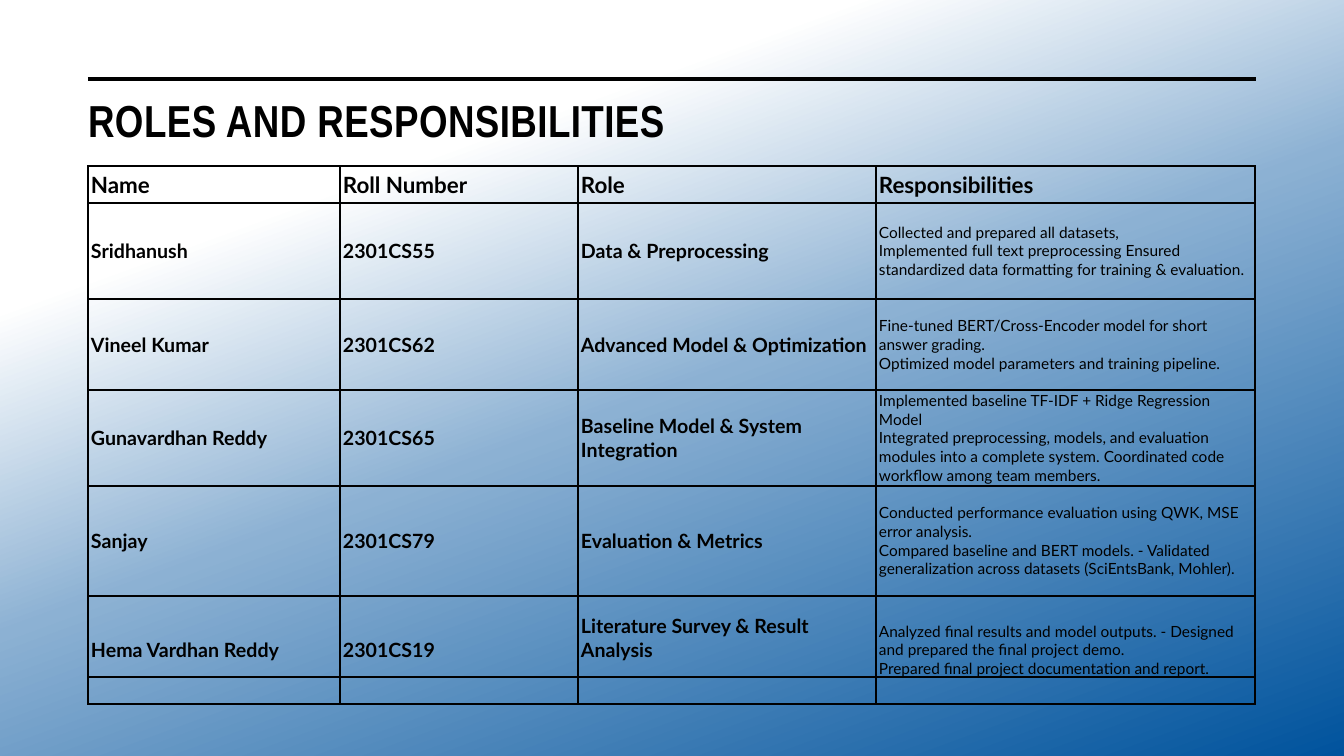
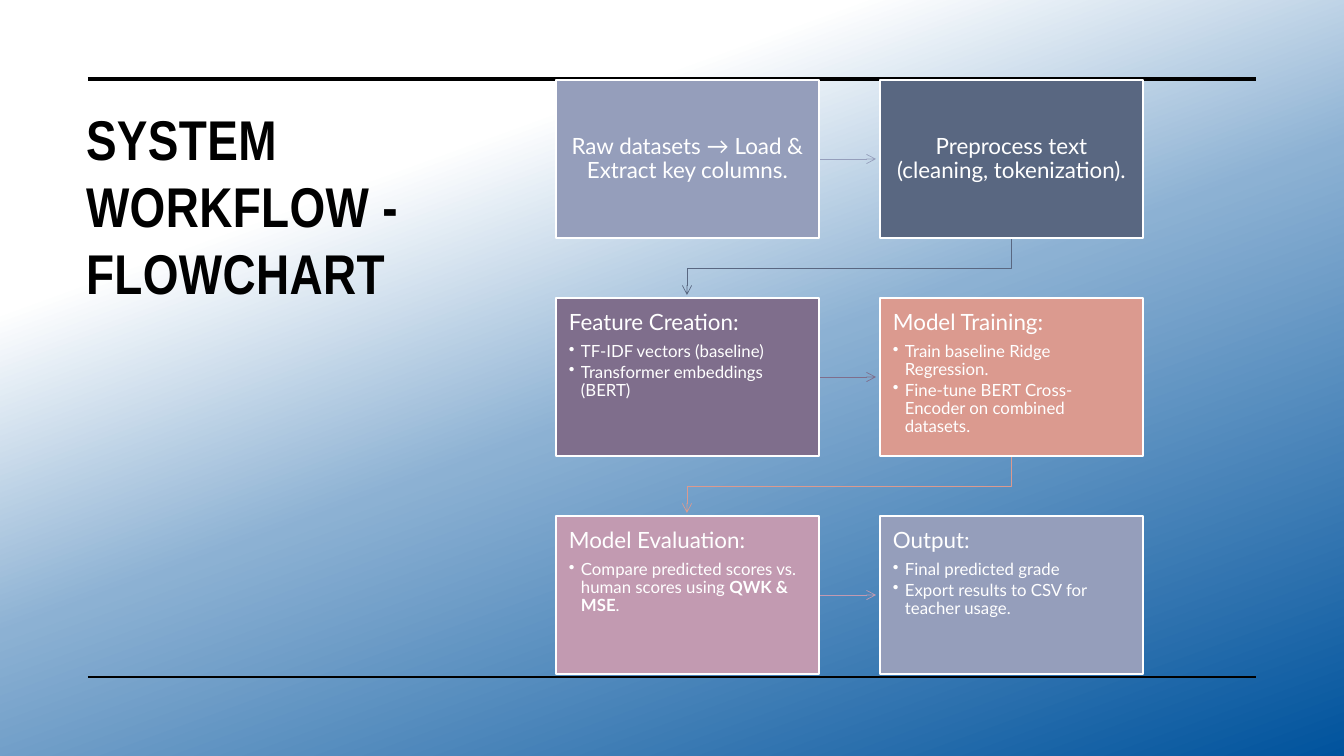
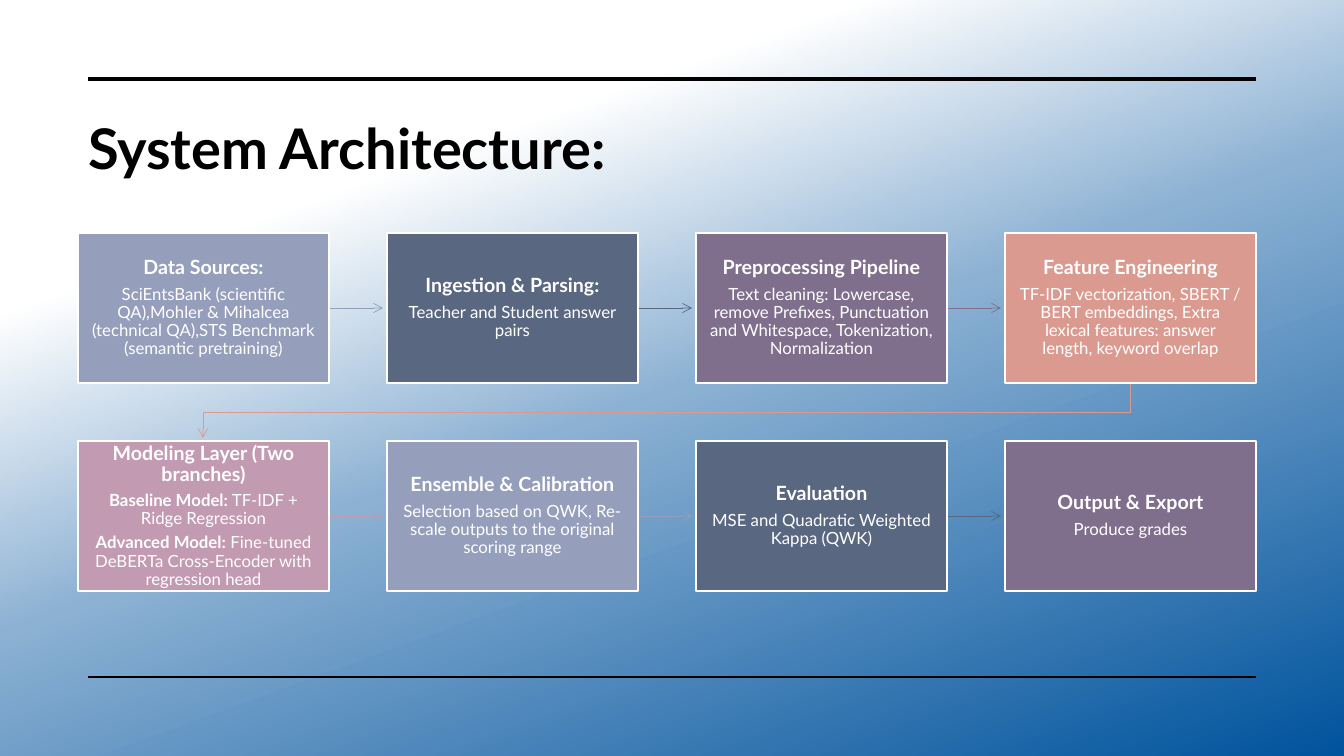
"""Build three project slides: a roles table and two flowcharts."""
from copy import deepcopy

from pptx import Presentation
from pptx.dml.color import RGBColor
from pptx.enum.shapes import MSO_CONNECTOR, MSO_SHAPE
from pptx.enum.text import MSO_ANCHOR, MSO_AUTO_SIZE, PP_ALIGN
from pptx.oxml import parse_xml
from pptx.oxml.ns import nsdecls, qn
from pptx.oxml.xmlchemy import OxmlElement
from pptx.util import Pt

PX = 9072
BLACK, WHITE = "000000", "FFFFFF"
PALETTE = ["959EBB", "596781", "7F6E8C", "DB9A8F", "C29AB1"]
rgb = RGBColor.from_string


def put(tf, text, size=12, color=BLACK, bold=False, font="Lato", align=PP_ALIGN.LEFT,
        line=1.0, after=0, bullet=False, spacing=0):
    """Add a paragraph; text between asterisks switches weight."""
    p = tf.paragraphs[-1]
    if p.runs:
        p = tf.add_paragraph()
    p.alignment, p.line_spacing, p.space_after = align, line, Pt(after)
    p.space_before = Pt(0)
    if bullet:
        pPr = p._p.get_or_add_pPr()
        pPr.set("marL", str(12 * PX))
        pPr.set("indent", str(-12 * PX))
        pPr.append(parse_xml(f'<a:buChar {nsdecls("a")} char="•"/>'))
    for i, part in enumerate(text.split("*")):
        if part:
            r = p.add_run()
            r.text = part
            r.font.size, r.font.name = Pt(size), font
            r.font.bold = bold != bool(i % 2)
            r.font.color.rgb = rgb(color)
            if spacing:
                r._r.get_or_add_rPr().set("spc", str(spacing))


def draw_line(s, points, color, width, arrow=False):
    """Draw a straight or angled line through points given in px."""
    pts = [(x * PX, y * PX) for x, y in points]
    if len(pts) == 2:
        ln = s.shapes.add_connector(MSO_CONNECTOR.STRAIGHT, *pts[0], *pts[1])
    else:
        fb = s.shapes.build_freeform(*pts[0])
        fb.add_line_segments(pts[1:], close=False)
        ln = fb.convert_to_shape()
        ln.fill.background()
    ln.line.color.rgb = rgb(color)
    ln.line.width = Pt(width)
    spPr = ln.element.spPr
    if arrow:
        spPr.find(qn("a:ln")).append(parse_xml(f'<a:tailEnd {nsdecls("a")} type="arrow"/>'))
    spPr.append(OxmlElement("a:effectLst"))
    return ln


prs = Presentation()
prs.slide_width, prs.slide_height = 1344 * PX, 756 * PX
master = prs.slide_master

fill = master.background.fill
fill.gradient()
fill.gradient_angle = 290
stops = master.element.find(".//" + qn("a:gsLst"))
stops.append(deepcopy(stops[0]))
for stop, (pos, color) in zip(fill.gradient_stops, [(0.25, WHITE), (0.51, "8CB1D3"), (1.0, "00539D")]):
    stop.position = pos
    stop.color.rgb = rgb(color)

titles = [
    ("ROLES AND RESPONSIBILITIES", (78, 88, 1178, 72), 32, "Arial Narrow", 30),
    ("SYSTEM WORKFLOW - FLOWCHART", (76, 99, 339, 431), 40, "Arial Narrow", 30),
    ("System Architecture:", (78, 108, 915, 78), 40, "Lato", 0),
]
for text, box, size, font, spacing in titles:
    s = prs.slides.add_slide(prs.slide_layouts[5])
    title = s.shapes.title
    title.left, title.top, title.width, title.height = [v * PX for v in box]
    tf = title.text_frame
    tf.word_wrap, tf.auto_size, tf.vertical_anchor = True, MSO_AUTO_SIZE.NONE, MSO_ANCHOR.TOP
    put(tf, text, size=size, font=font, bold=True, spacing=spacing)

for y, width in [(79, 3.5), (677, 1)]:
    rule = draw_line(prs.slides[0], [(88, y), (1256, y)], BLACK, width)
    master.shapes.element.append(rule.element)

rows = [
    ("Name", "Roll Number", "Role", ["Responsibilities"]),
    ("Sridhanush", "2301CS55", "Data & Preprocessing",
     ["Collected and prepared all datasets,",
      "Implemented full text preprocessing Ensured standardized data formatting for training & evaluation."]),
    ("Vineel Kumar", "2301CS62", "Advanced Model & Optimization",
     ["Fine-tuned BERT/Cross-Encoder model for short answer grading.",
      "Optimized model parameters and training pipeline."]),
    ("Gunavardhan Reddy", "2301CS65", "Baseline Model & System Integration",
     ["Implemented baseline TF-IDF + Ridge Regression Model",
      "Integrated preprocessing, models, and evaluation modules into a complete system. "
      "Coordinated code workflow among team members."]),
    ("Sanjay", "2301CS79", "Evaluation & Metrics",
     ["Conducted performance evaluation using QWK, MSE error analysis.",
      "Compared baseline and BERT models. - Validated generalization across datasets (SciEntsBank, Mohler)."]),
    ("Hema Vardhan Reddy", "2301CS19", "Literature Survey & Result Analysis",
     ["Analyzed final results and model outputs. - Designed and prepared the final project demo.",
      "Prepared final project documentation and report."]),
]
widths, heights = [252, 238, 298, 379], [37, 96, 91, 96, 110, 108]
tbl = prs.slides[0].shapes.add_table(
    len(rows), len(widths), 88 * PX, 166 * PX, sum(widths) * PX, sum(heights) * PX).table
tbl.first_row = tbl.horz_banding = False
for col, w in zip(tbl.columns, widths):
    col.width = w * PX
for i, (row, h) in enumerate(zip(rows, heights)):
    tbl.rows[i].height = h * PX
    for j, value in enumerate(row):
        cell = tbl.cell(i, j)
        cell.margin_left = cell.margin_right = 3 * PX
        cell.margin_top = cell.margin_bottom = PX
        cell.vertical_anchor = MSO_ANCHOR.MIDDLE
        detail = i > 0 and j == 3
        for text in value if j == 3 else [value]:
            put(cell.text_frame, text, size=11 if detail else 14 if i else 16, bold=not detail)
        tcPr = cell._tc.get_or_add_tcPr()
        for side in "LRTB":
            tcPr.append(parse_xml(
                f'<a:ln{side} {nsdecls("a")} w="12700"><a:solidFill>'
                f'<a:srgbClr val="{BLACK}"/></a:solidFill></a:ln{side}>'))
        cell.fill.background()
tbl.cell(5, 2).margin_bottom = 25 * PX

workflow = [
    ["Raw datasets → Load & Extract key columns."],
    ["Preprocess text (cleaning, tokenization)."],
    ["Feature Creation:", "TF-IDF vectors (baseline)", "Transformer embeddings (BERT)"],
    ["Model Training:", "Train baseline Ridge Regression.",
     "Fine-tune BERT Cross-Encoder on combined datasets."],
    ["Model Evaluation:", "Compare predicted scores vs. human scores using *QWK & MSE*."],
    ["Output:", "Final predicted grade", "Export results to CSV for teacher usage."],
]
architecture = [
    ["Data Sources:", "SciEntsBank (scientific QA),Mohler & Mihalcea (technical QA),"
     "STS Benchmark (semantic pretraining)"],
    ["Ingestion & Parsing:", "Teacher and Student answer pairs"],
    ["Preprocessing Pipeline", "Text cleaning: Lowercase, remove Prefixes, Punctuation and Whitespace, "
     "Tokenization, Normalization"],
    ["Feature Engineering", "TF-IDF vectorization, SBERT / BERT embeddings, Extra lexical features: "
     "answer length, keyword overlap"],
    ["Modeling Layer (Two branches)", "*Baseline Model:* TF-IDF + Ridge Regression",
     "*Advanced Model:* Fine-tuned DeBERTa Cross-Encoder with regression head"],
    ["Ensemble & Calibration", "Selection based on QWK, Re-scale outputs to the original scoring range"],
    ["Evaluation", "MSE and Quadratic Weighted Kappa (QWK)"],
    ["Output & Export", "Produce grades"],
]
charts = [
    (prs.slides[1], workflow, 2, (556, 80), (324, 218), (263, 158), 16, True),
    (prs.slides[2], architecture, 4, (78, 233), (309, 208), (251, 150), 14, False),
]
for s, steps, cols, (x0, y0), (dx, dy), (w, h), head_size, bullets in charts:
    for i, (head, *items) in enumerate(steps):
        x, y = x0 + i % cols * dx, y0 + i // cols * dy
        color = PALETTE[i % len(PALETTE)]
        if i % cols < cols - 1:
            draw_line(s, [(x + w, y + h // 2), (x + dx - 4, y + h // 2)], color, 0.5, arrow=True)
        elif i < len(steps) - 1:
            start, end, turn = x + w // 2, x0 + w // 2, y + (h + dy) // 2
            draw_line(s, [(start, y + h), (start, turn), (end, turn), (end, y + dy - 3)],
                      color, 0.5, arrow=True)

        sp = s.shapes.add_shape(MSO_SHAPE.RECTANGLE, x * PX, y * PX, w * PX, h * PX)
        sp.shadow.inherit = False
        sp.fill.solid()
        sp.fill.fore_color.rgb = rgb(color)
        sp.line.color.rgb = rgb(WHITE)
        sp.line.width = Pt(1)
        tf = sp.text_frame
        tf.word_wrap = True
        tf.margin_left = tf.margin_right = tf.margin_top = tf.margin_bottom = 13 * PX
        listed = bullets and bool(items)
        tf.vertical_anchor = MSO_ANCHOR.TOP if listed else MSO_ANCHOR.MIDDLE
        align = PP_ALIGN.LEFT if listed else PP_ALIGN.CENTER
        put(tf, head, size=head_size, color=WHITE, bold=not bullets, align=align,
            line=0.9, after=head_size * 0.35)
        for item in items:
            put(tf, item, color=WHITE, align=align, line=0.9,
                after=1.8 if listed else 4.2, bullet=listed)

prs.save("out.pptx")
